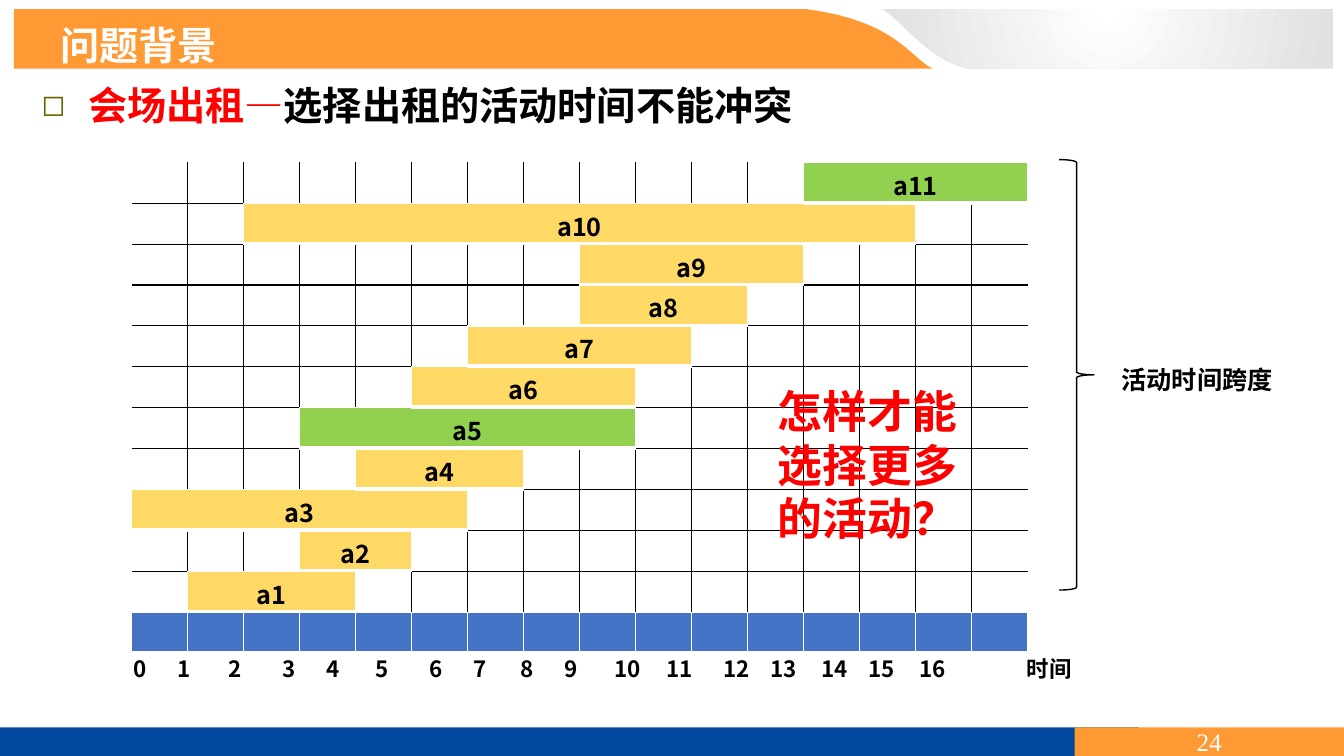
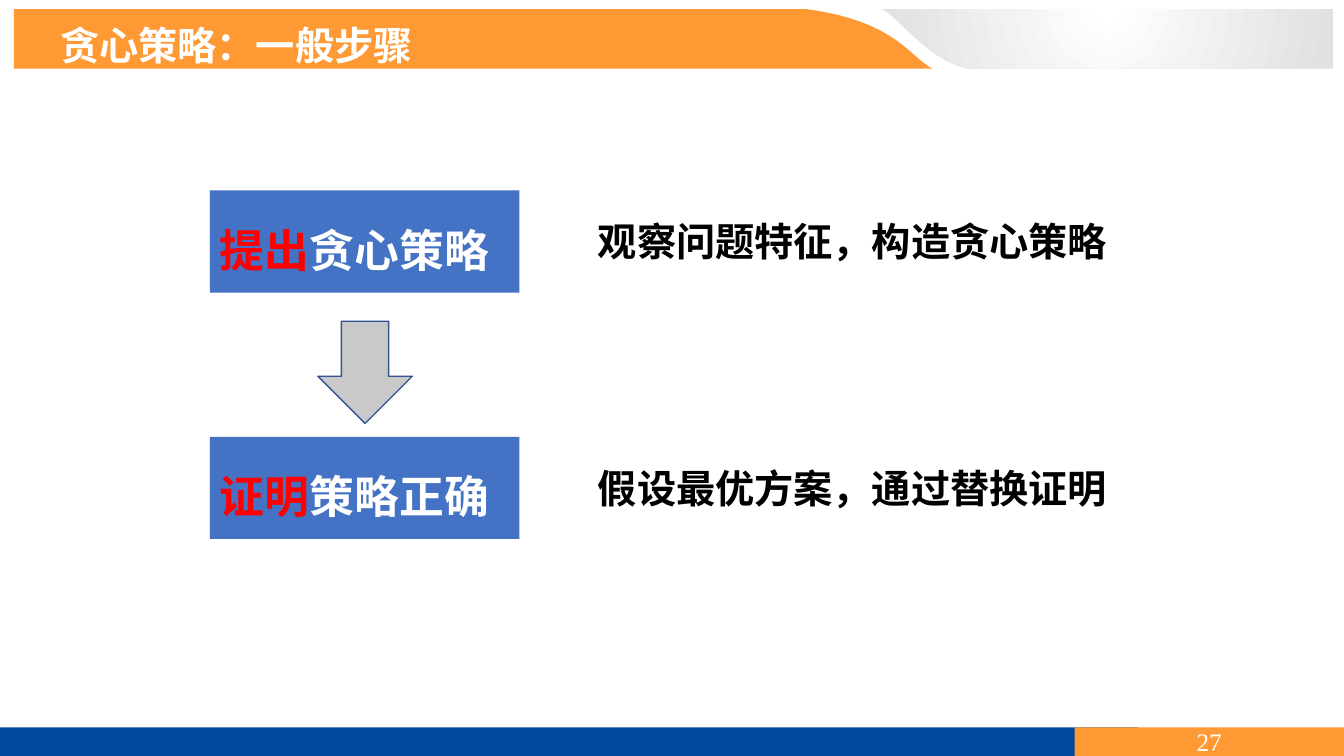
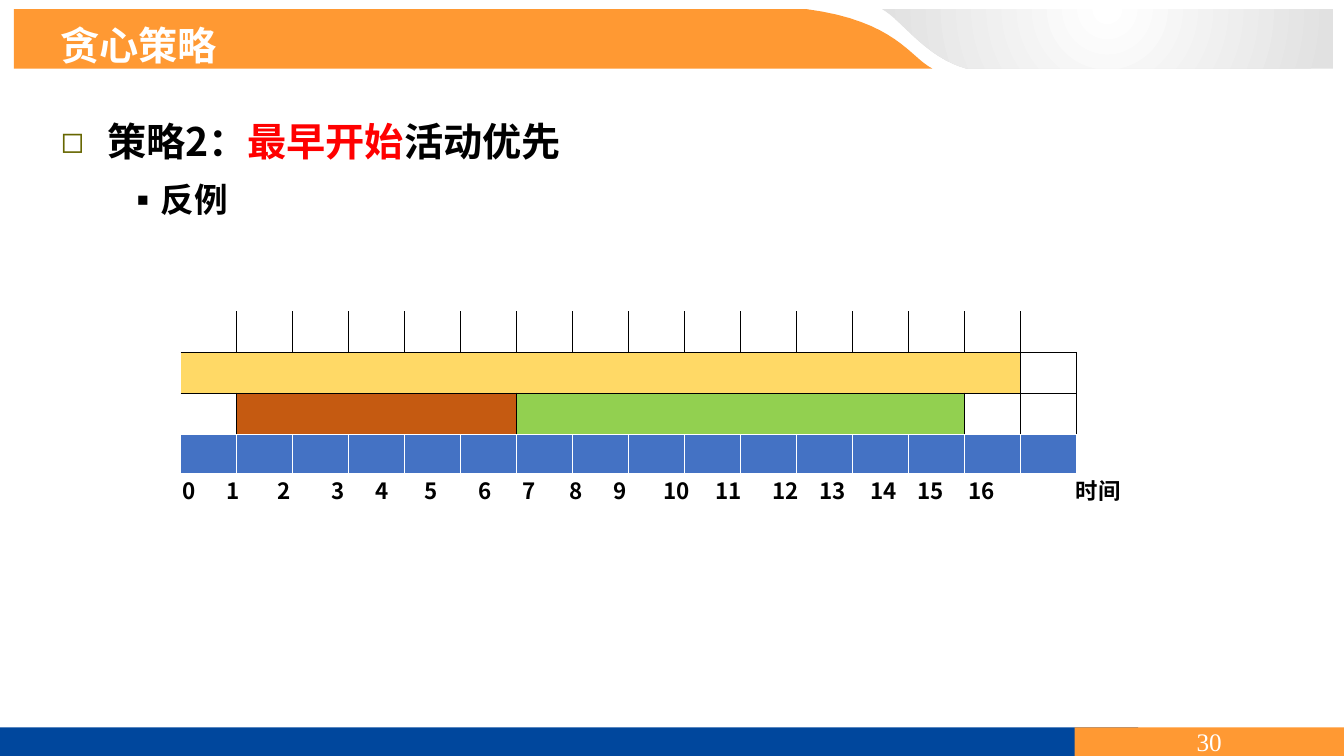
"""Build three slides on the greedy choice of activities."""
from lxml.etree import SubElement
from pptx import Presentation
from pptx.dml.color import RGBColor
from pptx.enum.shapes import MSO_SHAPE as Shape
from pptx.enum.text import MSO_ANCHOR as Anchor, PP_ALIGN as Align
from pptx.oxml import parse_xml
from pptx.oxml.ns import nsdecls, qn
from pptx.util import Pt

SANS, SERIF, SYMBOL = "Noto Sans CJK SC", "Times New Roman", "DejaVu Sans"
BLACK, WHITE, RED = "000000", "FFFFFF", "FF0000"
ORANGE, NAVY, BLUE = "FF9933", "00479D", "4472C4"
YELLOW, GREEN, RUST = "FFD966", "92D050", "C55A11"
SILVER, SLATE, OLIVE = "C9C9C9", "325491", "666600"
PLAIN_TABLE = "{2D5ABB26-0587-4C30-8999-92F81FD0307C}"
COLUMNS, COLUMN, ROW, BAR = 16, 40, 29.2, 28.8
HOUR_TABS = (31.5, 68.5, 107, 138.5, 173, 211.5, 243, 277, 308.5,
             344, 381, 421.5, 455, 491.5, 525, 561.5, 638.5)
ACTIVITIES = ((1, 3), (3, 2), (0, 6), (4, 3), (3, 6), (5, 4),
              (6, 4), (8, 3), (8, 4), (2, 12), (12, 4))
CHOSEN = (5, 11)
WHITE_FRAME = {"L": (WHITE, 1), "R": (WHITE, 1), "T": (WHITE, 1), "B": (WHITE, 3)}


def color(code):
    """Return the colour for a hex string."""
    return RGBColor.from_string(code)


def write(frame, spans, size, bold=True, align=None, spacing=None):
    """Fill a frame's first paragraph with (text, colour, font) spans."""
    frame.word_wrap = True
    para = frame.paragraphs[0]
    para.alignment = align
    if spacing:
        para.line_spacing = spacing
    for text, code, face in spans:
        span = para.add_run()
        span.text = text
        span.font.size = Pt(size)
        span.font.bold = bold
        span.font.name = face
        span.font.color.rgb = color(code)
        SubElement(span.font._element, qn("a:ea"), typeface=SANS)
    return para


def add_text(page, box, spans, size):
    """Add a text box and return its paragraph."""
    label = page.shapes.add_textbox(*map(Pt, box))
    return write(label.text_frame, spans, size)


def add_bullet(para, mark, indent, code, percent, face):
    """Give a paragraph a hanging bullet."""
    props = para._p.get_or_add_pPr()
    props.set("marL", str(Pt(indent)))
    props.set("indent", str(-Pt(indent)))
    tint = SubElement(props, qn("a:buClr"))
    SubElement(tint, qn("a:srgbClr"), val=code)
    SubElement(props, qn("a:buSzPct"), val=str(percent * 1000))
    SubElement(props, qn("a:buFont"), typeface=face)
    SubElement(props, qn("a:buChar"), char=mark)


def paint(shape, fill=None, line=None):
    """Set a shape's fill and outline, without a shadow."""
    shape.shadow.inherit = False
    if fill:
        shape.fill.solid()
        shape.fill.fore_color.rgb = color(fill)
    else:
        shape.fill.background()
    if line:
        shape.line.color.rgb = color(line)
        shape.line.width = Pt(1)
    else:
        shape.line.fill.background()
    return shape


def add_shape(page, kind, box, fill=None, line=None):
    """Add a painted preset shape."""
    return paint(page.shapes.add_shape(kind, *map(Pt, box)), fill, line)


def curve(start, first, second, end, steps=16):
    """Return points along a cubic curve, both ends included."""
    return [tuple(a * (1 - t) ** 3 + 3 * b * t * (1 - t) ** 2
                  + 3 * c * t * t * (1 - t) + d * t ** 3
                  for a, b, c, d in zip(start, first, second, end))
            for t in (step / steps for step in range(steps + 1))]


def add_outline(page, points, fill):
    """Add a closed freeform through the points."""
    corners = [(Pt(x), Pt(y)) for x, y in points]
    builder = page.shapes.build_freeform(*corners[0], scale=1.0)
    builder.add_line_segments(corners[1:], close=True)
    return paint(builder.convert_to_shape(), fill)


def add_header(page, title):
    """Draw the curved title band and the title."""
    top, bottom = 6.5, 49
    add_outline(page, [(10, top)] + curve((576, top), (640, 15), (650, 41), (666, bottom))
                + [(10, bottom)], ORANGE)
    corner = add_outline(page, [(952, bottom)]
                         + curve((690.5, bottom), (661, 41), (645, 15), (630, top))
                         + [(952, top)], WHITE)
    solid = corner._element.spPr.find(qn("a:solidFill"))
    solid.getparent().replace(solid, parse_xml(
        f'<a:gradFill {nsdecls("a")} rotWithShape="1"><a:gsLst>'
        '<a:gs pos="0"><a:srgbClr val="FFFFFF"/></a:gs>'
        '<a:gs pos="100000"><a:srgbClr val="E1E1E1"/></a:gs></a:gsLst>'
        '<a:path path="circle"><a:fillToRect l="50000" t="-80000" r="50000" b="180000"/>'
        '</a:path></a:gradFill>'))
    add_text(page, (36, 11.5, 492.5, 41), [(title, WHITE, SANS)], 28)


def add_footer(page, number):
    """Draw the bottom band with the page number."""
    add_shape(page, Shape.RECTANGLE, (0, 519.5, 813, 20.5), NAVY)
    badge = add_shape(page, Shape.RECTANGLE, (767.5, 519.5, 192.5, 20.5), ORANGE)
    badge.text_frame.vertical_anchor = Anchor.MIDDLE
    write(badge.text_frame, [(str(number), WHITE, SERIF)], 18, False, Align.CENTER)


def add_page(deck, title, number):
    """Add a blank page with the shared header and footer."""
    page = deck.slides.add_slide(deck.slide_layouts[6])
    add_header(page, title)
    add_footer(page, number)
    return page


def style_cell(cell, edges, fill=None):
    """Set a cell's margins, borders and fill."""
    cell.margin_top = cell.margin_bottom = 0
    props = cell._tc.get_or_add_tcPr()
    for side in "LRTB":
        if side in edges:
            code, width = edges[side]
            props.append(parse_xml(
                f'<a:ln{side} {nsdecls("a")} w="{Pt(width)}"><a:solidFill>'
                f'<a:srgbClr val="{code}"/></a:solidFill></a:ln{side}>'))
    if fill:
        cell.fill.solid()
        cell.fill.fore_color.rgb = color(fill)
    else:
        cell.fill.background()


def add_plain_table(page, left, top, rows, columns, width, height):
    """Add an unstyled table of equal cells."""
    table = page.shapes.add_table(rows, columns, Pt(left), Pt(top),
                                  Pt(columns * width), Pt(rows * height)).table
    table.first_row = table.horz_banding = False
    table._tbl.tblPr.find(qn("a:tableStyleId")).text = PLAIN_TABLE
    for row in table.rows:
        row.height = Pt(height)
    return table


def add_grid(page, left, top, rows, blocks=()):
    """Draw inner grid lines; blocks are (row, start, length, fill) merges."""
    table = add_plain_table(page, left, top, rows, COLUMNS, COLUMN, ROW)
    fills = {}
    for row, start, length, fill in blocks:
        table.cell(row, start).merge(table.cell(row, start + length - 1))
        fills[row, start] = fill
    for row in range(rows):
        for column in range(COLUMNS):
            cell = table.cell(row, column)
            if cell.is_spanned:
                continue
            span = cell.span_width if cell.is_merge_origin else 1
            inner = {"L": column > 0, "R": column + span < COLUMNS,
                     "T": row > 0, "B": row < rows - 1}
            edges = {side: (BLACK, 1) for side in inner if inner[side]}
            style_cell(cell, edges, fills.get((row, column)))


def add_time_axis(page, left, top):
    """Draw the blue time scale with the hours below it."""
    table = add_plain_table(page, left, top, 1, COLUMNS, COLUMN, BAR)
    for cell in table.iter_cells():
        style_cell(cell, WHITE_FRAME, BLUE)
    hours = "\t".join([*map(str, range(17)), "时间"])
    para = add_text(page, (left - 6, top + 27.5, 772, 27), [(hours, BLACK, SANS)], 16)
    tabs = SubElement(para._p.get_or_add_pPr(), qn("a:tabLst"))
    for stop in HOUR_TABS:
        SubElement(tabs, qn("a:tab"), pos=str(Pt(stop)), algn="l")


def add_activity(page, left, top, name, length, fill):
    """Draw one activity as a labelled bar."""
    cell = add_plain_table(page, left, top, 1, 1, length * COLUMN, BAR).cell(0, 0)
    style_cell(cell, WHITE_FRAME, fill)
    cell.margin_top = Pt(2.6)
    write(cell.text_frame, [(name, BLACK, SANS)], 18, align=Align.CENTER)


def add_schedule(page, left, top):
    """Draw the grid, the time scale and all activities."""
    count = len(ACTIVITIES)
    add_time_axis(page, left, top + count * ROW)
    add_grid(page, left, top, count)
    for number, (start, length) in enumerate(ACTIVITIES, 1):
        add_activity(page, left + start * COLUMN, top + (count - number) * ROW,
                     f"a{number}", length, GREEN if number in CHOSEN else YELLOW)


def add_heading(page, left, top, spans):
    """Add a heading with a hollow square bullet."""
    para = add_text(page, (left, top, 826.5, 50), [(" ", BLACK, SYMBOL), *spans], 28)
    add_bullet(para, "◻", 27, OLIVE, 75, SYMBOL)


def add_step(page, left, top, key, rest, note):
    """Draw a step box with its explanation beside it."""
    step = add_shape(page, Shape.RECTANGLE, (left, top, 221, 73), BLUE)
    step.text_frame.vertical_anchor = Anchor.TOP
    write(step.text_frame, [(key, RED, SANS), (rest, WHITE, SANS)], 32,
          align=Align.LEFT, spacing=1.5)
    add_text(page, (left + 270, top + 16, 389, 41), [(note, BLACK, SERIF)], 28)


def build_background(deck):
    """Build the page on the venue problem."""
    page = add_page(deck, "问题背景", 24)
    add_heading(page, 22.5, 54.5, [("会场出租—", RED, SANS),
                                   ("选择出租的活动时间不能冲突", BLACK, SANS)])
    add_schedule(page, 94, 116)
    add_shape(page, Shape.RIGHT_BRACE, (756.5, 114, 25, 307.5), line=BLACK)
    add_text(page, (794, 256.5, 132, 29), [("活动时间跨度", BLACK, SANS)], 18)
    add_text(page, (548.5, 270.5, 160, 124), [("怎样才能选择更多的活动？", RED, SANS)], 32)


def build_steps(deck):
    """Build the page on the general steps."""
    page = add_page(deck, "贪心策略：一般步骤", 27)
    add_step(page, 150, 136, "提出", "贪心策略", "观察问题特征，构造贪心策略")
    add_step(page, 150, 312, "证明", "策略正确", "假设最优方案，通过替换证明")
    add_shape(page, Shape.DOWN_ARROW, (227, 229.5, 67.5, 73), SILVER, SLATE)


def build_counterexample(deck):
    """Build the page on the earliest-start counterexample."""
    page = add_page(deck, "贪心策略", 30)
    add_heading(page, 36, 80.5, [("策略2：", BLACK, SANS), ("最早开始", RED, SANS),
                                 ("活动优先", BLACK, SANS)])
    para = add_text(page, (83.5, 124, 826.5, 52), [("反例", BLACK, "Cambria")], 24)
    add_bullet(para, "▪", 24, BLACK, 100, SANS)
    left, top, rows = 129, 222.5, 3
    add_time_axis(page, left, top + rows * ROW)
    add_grid(page, left, top, rows,
             ((1, 0, 15, YELLOW), (2, 1, 5, RUST), (2, 6, 8, GREEN)))


def main():
    """Build and save the deck."""
    deck = Presentation()
    deck.slide_width, deck.slide_height = Pt(960), Pt(540)
    build_background(deck)
    build_steps(deck)
    build_counterexample(deck)
    deck.save("out.pptx")


if __name__ == "__main__":
    main()
